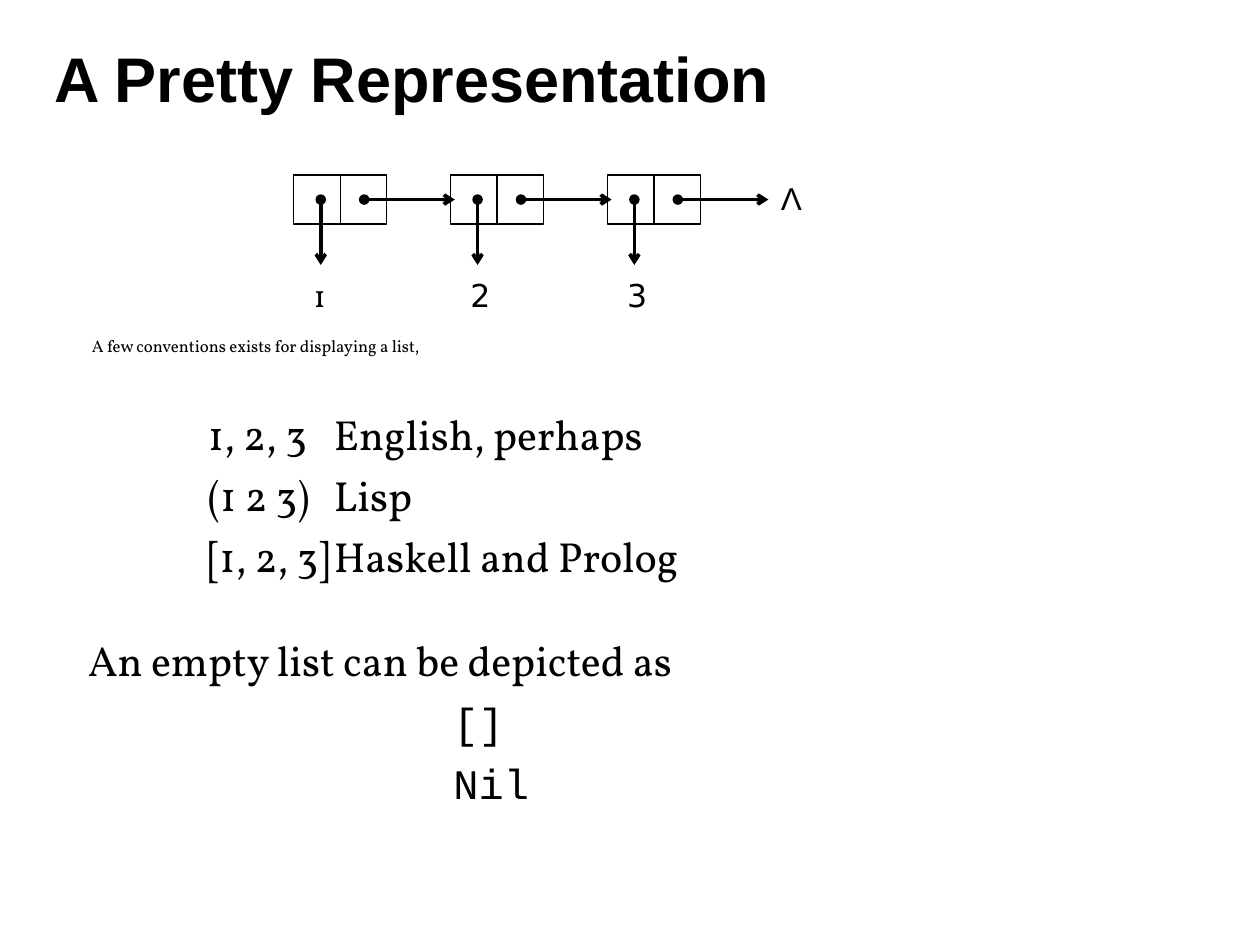
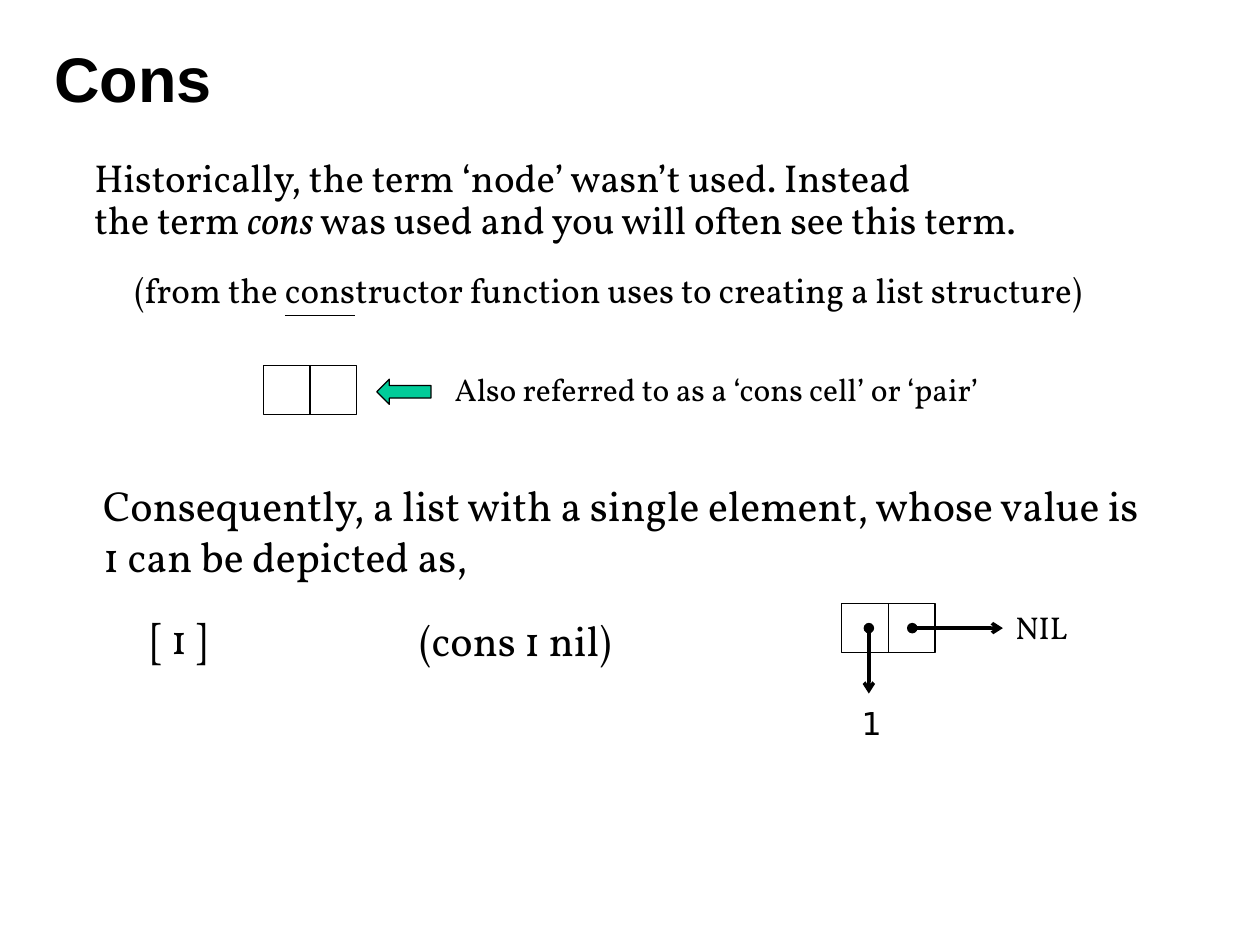
import lxml.etree
import pptx
import pptx.dml.color
import pptx.enum.shapes
import pptx.enum.text
import pptx.oxml.ns
import pptx.util

Pt = pptx.util.Pt
SHAPES = pptx.enum.shapes.MSO_SHAPE

BLACK, GREEN = "000000", "00CC99"
SERIF, SANS, MONO, DIGITS = "Vollkorn", "Arial", "Courier New", "DejaVu Sans"
TITLE_BOX = (23.8, 10.8, 570, 67)

# A cell is two joined boxes; offsets are taken from its top left corner.
CELL_WIDTH, CELL_HEIGHT = 53.3, 28.1
CELL_PITCH = 89.6
VALUE_DOT, VALUE_ARROW = 15.5, 37.4
NEXT_DOT, NEXT_ARROW = 40.3, 51.8

# Paragraphs are lists of runs; a run is a string or (string, style).
pretty = {
    "title": "A Pretty Representation",
    "chain_at": (167.8, 100),
    "chain": [("1", SERIF), ("2", DIGITS), ("3", DIGITS)],
    "chain_end": ("Λ", SANS, 26.6),
    "notations_box": (111.6, 229.7, 354, 111),
    "notations_tab": 114,
    "notations": [
        ["1, 2, 3\tEnglish, perhaps"],
        ["(1 2 3)\tLisp"],
        ["[1, 2, 3]\tHaskell and Prolog"],
    ],
    "texts": [
        dict(box=(45.4, 190.8, 623, 32.4), size=9.6, spacing=0.8,
             paragraphs=[["A few conventions exists for displaying a list,"]]),
        dict(box=(43.2, 359.3, 616, 34.6), size=24,
             paragraphs=[["An empty list can be depicted as"]]),
        dict(box=(252, 394.6, 70.6, 66.2), size=24, font=MONO,
             paragraphs=[["[]"], ["Nil"]]),
    ],
}

cons = {
    "title": "Cons",
    "empty_cell_at": (150.5, 208.8),
    "pointer_box": (215.3, 216.7, 31, 14.4),
    "chain_at": (481, 344.9),
    "chain": [("1", DIGITS)],
    "chain_end": ("NIL", SERIF, 46),
    "texts": [
        dict(box=(46.8, 87.1, 623, 60.5), size=22.2, spacing=0.9,
             paragraphs=[["Historically, the term ‘node’ wasn’t used. Instead", "\n",
                          "the term ", ("cons", "italic"),
                          " was used and you will often see this term."]]),
        dict(box=(69.8, 149.8, 562.3, 30.2), size=20,
             paragraphs=[["(from the ", ("cons", "underline"),
                          "tructor function uses to creating a list structure)"]]),
        dict(box=(252.7, 208.1, 327.6, 50.4), size=18,
             paragraphs=[["Also referred to as a ‘cons cell’ or ‘pair’"]]),
        dict(box=(51.8, 270.7, 616, 60), size=24,
             paragraphs=[["Consequently, a list with a single element, "
                          "whose value is 1 can be depicted as,"]]),
        dict(box=(79.2, 346.3, 57.6, 36), size=24, wrap=False, paragraphs=[["[ 1 ]"]]),
        dict(box=(232.6, 347.8, 145.4, 36), size=24, wrap=False,
             paragraphs=[["(cons 1 nil)"]]),
    ],
}


def color(hex_code):
    return pptx.dml.color.RGBColor.from_string(hex_code)


def points(lengths):
    return [Pt(length) for length in lengths]


def add_element(parent, tag, **attributes):
    return lxml.etree.SubElement(parent, pptx.oxml.ns.qn(tag), attributes)


def place(placeholder, box):
    placeholder.left, placeholder.top, placeholder.width, placeholder.height = points(box)


def write(frame, paragraphs, size, font=SERIF, spacing=1.0, tab=None, wrap=True, bold=False):
    """Fill a text frame run by run, left aligned and without bullets."""
    frame.word_wrap = wrap
    frame.auto_size = pptx.enum.text.MSO_AUTO_SIZE.NONE
    for index, runs in enumerate(paragraphs):
        paragraph = frame.add_paragraph() if index else frame.paragraphs[0]
        properties = paragraph._p.get_or_add_pPr()
        properties.set("marL", "0")
        properties.set("indent", "0")
        add_element(properties, "a:buNone")
        if tab:
            stops = add_element(properties, "a:tabLst")
            add_element(stops, "a:tab", pos=str(Pt(tab)), algn="l")
        paragraph.alignment = pptx.enum.text.PP_ALIGN.LEFT
        paragraph.line_spacing = spacing
        paragraph.space_before = Pt(6 if index else 0)
        for item in runs:
            if item == "\n":
                paragraph.add_line_break()
                continue
            words, style = (item, None) if isinstance(item, str) else item
            run = paragraph.add_run()
            run.text = words
            run.font.name, run.font.size, run.font.bold = font, Pt(size), bold
            run.font.color.rgb = color(BLACK)
            if style:
                setattr(run.font, style, True)


def add_text(slide, box, **text):
    write(slide.shapes.add_textbox(*points(box)).text_frame, **text)


def add_outline(slide, kind, box, fill=None):
    shape = slide.shapes.add_shape(kind, *points(box))
    shape.shadow.inherit = False
    if fill:
        shape.fill.solid()
        shape.fill.fore_color.rgb = color(fill)
    else:
        shape.fill.background()
    shape.line.color.rgb = color(BLACK)
    shape.line.width = Pt(0.75)
    return shape


def add_line(slide, start, end, width=0.75, pointer=False):
    """Draw a line; a pointer starts at a dot and ends in an arrowhead."""
    line = slide.shapes.add_connector(
        pptx.enum.shapes.MSO_CONNECTOR.STRAIGHT, *points(start + end))
    line.line.color.rgb = color(BLACK)
    line.line.width = Pt(width)
    if pointer:
        stroke = line.line._get_or_add_ln()
        add_element(stroke, "a:headEnd", type="oval")
        add_element(stroke, "a:tailEnd", type="arrow")
    add_element(line._element.spPr, "a:effectLst")


def add_cell(slide, left, top):
    add_outline(slide, SHAPES.RECTANGLE, (left, top, CELL_WIDTH, CELL_HEIGHT))
    middle = left + CELL_WIDTH / 2
    add_line(slide, (middle, top), (middle, top + CELL_HEIGHT))


def add_chain(slide, content):
    """Draw linked cells, each pointing down to its value, and the end mark."""
    left, top = content["chain_at"]
    center = top + CELL_HEIGHT / 2
    for index, (value, font) in enumerate(content["chain"]):
        x = left + index * CELL_PITCH
        add_cell(slide, x, top)
        add_line(slide, (x + NEXT_DOT, center), (x + NEXT_DOT + NEXT_ARROW, center), 2, True)
        add_line(slide, (x + VALUE_DOT, center),
                 (x + VALUE_DOT, center + VALUE_ARROW), 2, True)
        add_text(slide, (x + 4.3, top + 54, 24.5, 28.8), paragraphs=[[value]],
                 size=18, font=font, wrap=False)
    mark, font, width = content["chain_end"]
    add_text(slide, (x + NEXT_DOT + NEXT_ARROW, top - 1, width, 28.8),
             paragraphs=[[mark]], size=18, font=font, wrap=False)


def add_slide(deck, layout, content):
    """Add what both slides share: title, texts and a chain of cells."""
    slide = deck.slides.add_slide(deck.slide_layouts.get_by_name(layout))
    title = slide.shapes.title
    place(title, TITLE_BOX)
    title.text_frame.vertical_anchor = pptx.enum.text.MSO_ANCHOR.MIDDLE
    write(title.text_frame, [[content["title"]]], 36, SANS, bold=True)
    for text in content["texts"]:
        add_text(slide, **text)
    add_chain(slide, content)
    return slide


def main():
    deck = pptx.Presentation()
    deck.slide_width, deck.slide_height = Pt(720), Pt(540)

    slide = add_slide(deck, "Title and Content", pretty)
    notations = slide.placeholders[1]
    place(notations, pretty["notations_box"])
    write(notations.text_frame, pretty["notations"], 24, tab=pretty["notations_tab"])

    slide = add_slide(deck, "Title Only", cons)
    add_cell(slide, *cons["empty_cell_at"])
    add_outline(slide, SHAPES.LEFT_ARROW, cons["pointer_box"], GREEN)

    deck.save("out.pptx")


if __name__ == "__main__":
    main()
